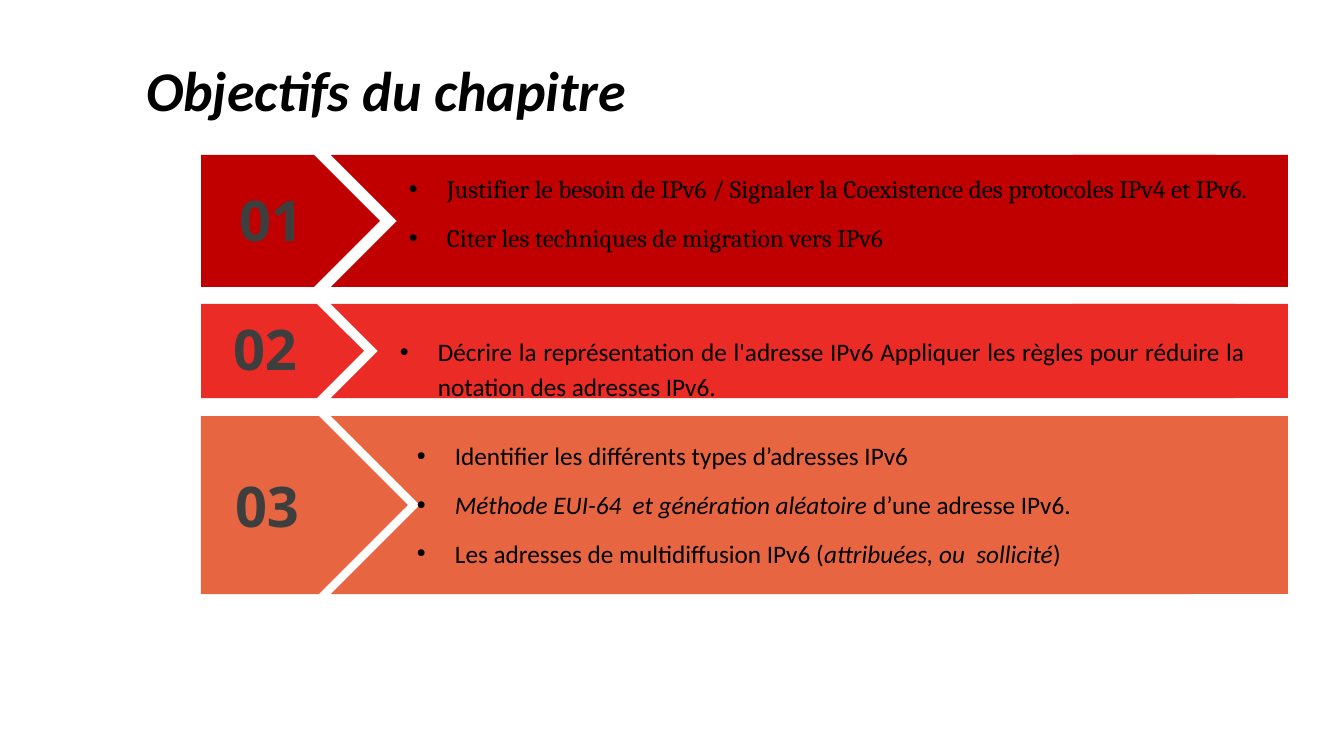
from lxml import etree
from pptx import Presentation, util as u
from pptx.dml.color import RGBColor
from pptx.enum import shapes, text
from pptx.oxml.ns import qn

PX = 914400 / 100.8
INDENT = 38


def px(*lengths):
    return [u.Emu(round(length * PX)) for length in lengths]


def add_run(para, words, font, size, colour, bold=False, italic=False):
    span = para.add_run()
    span.text = words
    span.font.name, span.font.size = font, u.Pt(size)
    span.font.bold, span.font.italic = bold, italic
    span.font.color.rgb = RGBColor.from_string(colour)


deck = Presentation()
deck.slide_width, deck.slide_height = px(1344, 756)
page = deck.slides.add_slide(deck.slide_layouts[6])

title = page.shapes.add_textbox(*px(141, 30, 907, 126)).text_frame
title.word_wrap = True
title.vertical_anchor = text.MSO_ANCHOR.MIDDLE
title.margin_left = title.margin_right = title.margin_top = title.margin_bottom = px(5)[0]
title.paragraphs[0].line_spacing = 0.9
add_run(title.paragraphs[0], "Objectifs du chapitre", "Calibri", 40, "000000", True, True)

# Each goal is a list of (words, italic) spans
objectives = [
    dict(colour="C00000", top=155, height=132, tag_width=179, font="Cambria",
         number=(215, 181), body=(399, 164, 865, 195),
         goals=[[("Justifier le besoin de IPv6 / Signaler la Coexistence des protocoles IPv4 et IPv6.", False)],
                [("Citer les techniques de migration vers IPv6", False)]]),
    dict(colour="EA2B26", top=304, height=94, tag_width=163, font="Calibri",
         number=(209, 310), body=(390, 327, 865, 79),
         goals=[[("Décrire la représentation de l'adresse IPv6 Appliquer les règles pour "
                  "réduire la notation des adresses IPv6.", False)]]),
    dict(colour="E76541", top=416, height=178, tag_width=207, font="Calibri",
         number=(211, 467), body=(407, 431, 857, 300),
         goals=[[("Identifier les différents types d’adresses IPv6", False)],
                [("Méthode EUI-64  et génération aléatoire", True), (" d’une adresse IPv6.", False)],
                [("Les adresses de multidiffusion IPv6 (", False),
                 ("attribuées, ou  sollicité", True), (")", False)]]),
]

for index, row in enumerate(objectives, 1):
    band = page.shapes.add_group_shape()
    for parent, kind, left, width in (
            (page, shapes.MSO_SHAPE.PENTAGON, 201, row["tag_width"]),
            (band, shapes.MSO_SHAPE.CHEVRON, 331, 951),
            (band, shapes.MSO_SHAPE.RECTANGLE, 1073, 215)):
        piece = parent.shapes.add_shape(kind, *px(left, row["top"], width, row["height"]))
        piece.fill.solid()
        piece.fill.fore_color.rgb = RGBColor.from_string(row["colour"])
        piece.line.fill.background()
        piece.shadow.inherit = False

    number = page.shapes.add_textbox(*px(*row["number"], 112, 78)).text_frame
    number.word_wrap = True
    number.paragraphs[0].alignment = text.PP_ALIGN.CENTER
    add_run(number.paragraphs[0], f"{index:02}", "Open Sans", 40, "3E3E3E", True)

    body = page.shapes.add_textbox(*px(*row["body"])).text_frame
    body.word_wrap = True
    body.auto_size = text.MSO_AUTO_SIZE.SHAPE_TO_FIT_TEXT
    for position, goal in enumerate(row["goals"]):
        para = body.add_paragraph() if position else body.paragraphs[0]
        para.alignment = text.PP_ALIGN.JUSTIFY
        para.line_spacing, para.space_after = 1.15, u.Pt(10)
        props = para._p.get_or_add_pPr()
        props.set("marL", str(px(INDENT)[0]))
        props.set("indent", str(px(-INDENT)[0]))
        etree.SubElement(props, qn("a:buFont"), typeface="Arial")
        etree.SubElement(props, qn("a:buChar"), char="•")
        for words, italic in goal:
            add_run(para, words, row["font"], 18, "000000", italic=italic)

deck.save("out.pptx")
